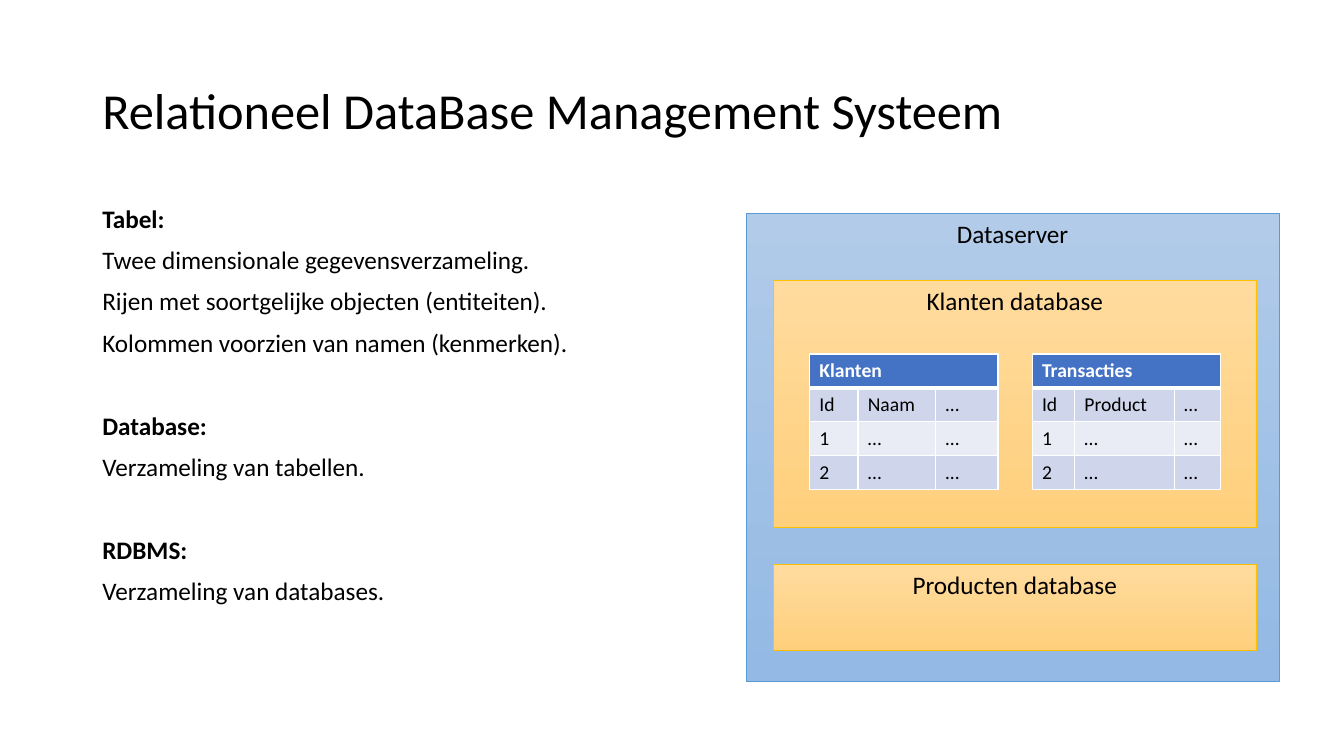
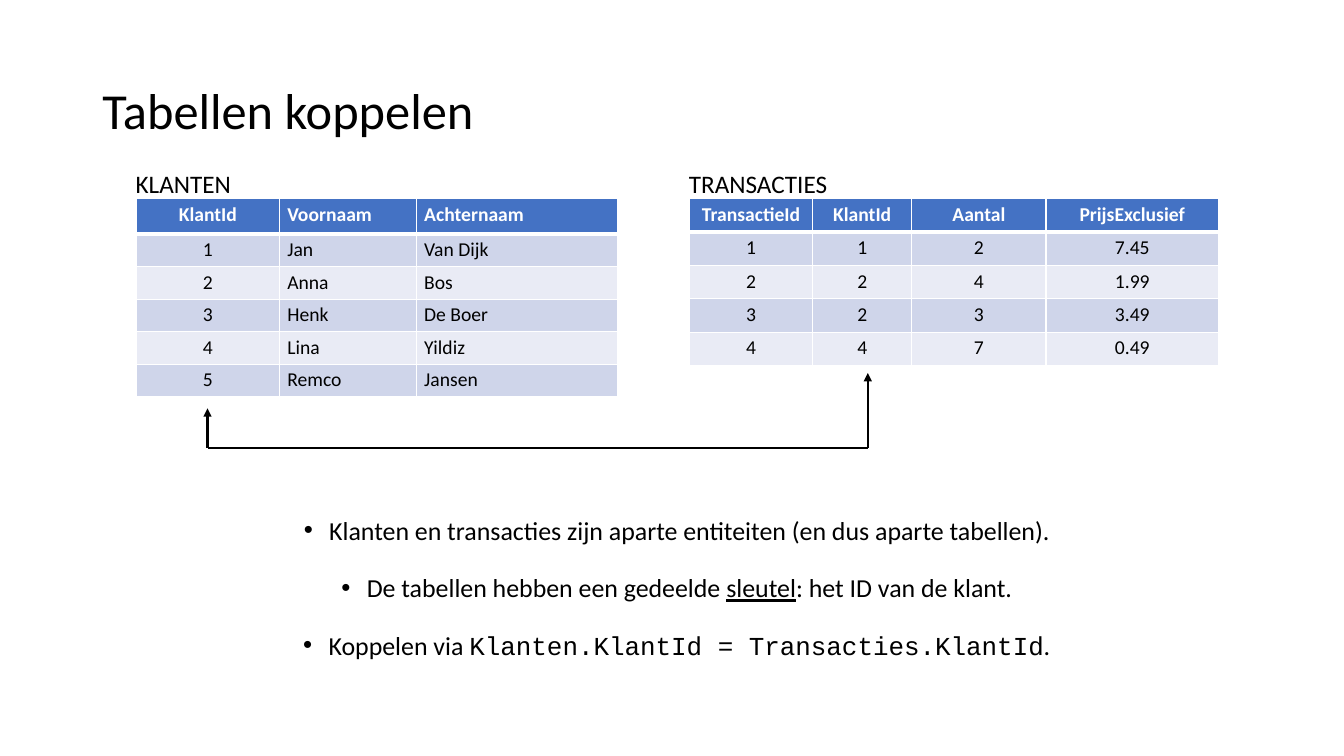
from lxml import etree
from pptx import Presentation
from pptx import util as u
from pptx.dml.color import RGBColor
from pptx.enum import shapes, text
from pptx.oxml import ns

BLACK = RGBColor(0x00, 0x00, 0x00)
WHITE = RGBColor(0xFF, 0xFF, 0xFF)
HEADER_BLUE = RGBColor(0x44, 0x72, 0xC4)
BAND_DARK = RGBColor(0xCF, 0xD5, 0xEA)
BAND_LIGHT = RGBColor(0xE9, 0xEB, 0xF5)
BLUE_BOX = (RGBColor(0xB1, 0xCB, 0xE9), RGBColor(0x93, 0xB9, 0xE4), RGBColor(0x5B, 0x9B, 0xD5))
GOLD_BOX = (RGBColor(0xFF, 0xDB, 0x9E), RGBColor(0xFF, 0xD0, 0x7C), RGBColor(0xFF, 0xC0, 0x00))

BODY_FONT = "Calibri"
CODE_FONT = "Courier New"
LEFT, CENTER = text.PP_ALIGN.LEFT, text.PP_ALIGN.CENTER
BODY_SIZE = 18
BULLET_SIZE = 18.5
PARAGRAPH_GAP = 10
SECTION_GAP = 40

TITLES = ["Relationeel DataBase Management Systeem", "Tabellen koppelen"]

DEFINITIONS = [
    ("Tabel:", ["Twee dimensionale gegevensverzameling.",
                "Rijen met soortgelijke objecten (entiteiten).",
                "Kolommen voorzien van namen (kenmerken)."]),
    ("Database:", ["Verzameling van tabellen."]),
    ("RDBMS:", ["Verzameling van databases."]),
]

BOXES = [
    ("Dataserver", (18.8, 5.38, 13.44, 11.79), BLUE_BOX),
    ("Klanten database", (19.48, 7.06, 12.19, 6.22), GOLD_BOX),
    ("Producten database", (19.48, 14.22, 12.19, 2.16), GOLD_BOX),
]

SKETCH_TABLES = [
    dict(rows=[["Klanten", "", ""], ["Id", "Naam", "…"], ["1", "…", "…"], ["2", "…", "…"]],
         left=20.4, widths=[1.22, 1.96, 1.57]),
    dict(rows=[["Transacties", "", ""], ["Id", "Product", "…"], ["1", "…", "…"], ["2", "…", "…"]],
         left=26.01, widths=[1.07, 2.51, 1.17]),
]
SKETCH_LAYOUT = dict(top=8.92, heights=(0.85, 0.85), margins=(0.25, 0.13),
                     centered=(), merge_header=True)

LINKED_TABLES = [
    ("KLANTEN", dict(
        rows=[["KlantId", "Voornaam", "Achternaam"], ["1", "Jan", "Van Dijk"],
              ["2", "Anna", "Bos"], ["3", "Henk", "De Boer"],
              ["4", "Lina", "Yildiz"], ["5", "Remco", "Jansen"]],
        left=3.44, widths=[3.6, 3.45, 5.08], heights=(0.89, 0.82), centered=(0,))),
    ("TRANSACTIES", dict(
        rows=[["TransactieId", "KlantId", "Aantal", "PrijsExclusief"], ["1", "1", "2", "7.45"],
              ["2", "2", "4", "1.99"], ["3", "2", "3", "3.49"], ["4", "4", "7", "0.49"]],
        left=17.38, widths=[3.1, 2.5, 3.38, 4.35], heights=(0.84, 0.84),
        centered=(0, 1, 2, 3))),
]
LINKED_LAYOUT = dict(top=5.01, margins=(0.2, 0.1))

KEY_LINES = [
    ((5.23, 11.28), (21.87, 11.28), False),
    ((21.87, 11.28), (21.87, 9.4), True),
    ((5.23, 11.28), (5.23, 10.29), True),
]

BULLETS = [
    [("Klanten en transacties zijn aparte entiteiten (en dus aparte tabellen).", {})],
    [("De tabellen hebben een gedeelde ", {}), ("sleutel", {"underline": True}),
     (": het ID van de klant.", {})],
    [("Koppelen via ", {}), ("Klanten.KlantId = Transacties.KlantId", {"name": CODE_FONT}),
     (".", {})],
]


def set_attributes(target, values):
    for name, value in values.items():
        setattr(target, name, value)


def add_run(paragraph, content, size, color=BLACK, **extra):
    run = paragraph.add_run()
    run.text = content
    set_attributes(run.font, {"name": BODY_FONT, "size": u.Pt(size), **extra})
    run.font.color.rgb = color


def add_frame(slide, left, top, width, height, wrap=True):
    box = slide.shapes.add_textbox(*map(u.Cm, (left, top, width, height)))
    box.text_frame.word_wrap = wrap
    return box.text_frame


def next_paragraph(frame, index):
    return frame.add_paragraph() if index else frame.paragraphs[0]


def add_titled_slide(presentation, title):
    slide = presentation.slides.add_slide(presentation.slide_layouts[6])
    frame = add_frame(slide, 2.33, 1.01, 29.21, 3.68)
    frame.vertical_anchor = text.MSO_ANCHOR.MIDDLE
    frame.paragraphs[0].line_spacing = 0.9
    add_run(frame.paragraphs[0], title, 36)
    return slide


def add_definitions(slide):
    frame = add_frame(slide, 2.33, 5.08, 14.6, 12.09)
    lines = [(line, position == 0) for term, facts in DEFINITIONS
             for position, line in enumerate([term, *facts])]
    for index, (line, is_term) in enumerate(lines):
        paragraph = next_paragraph(frame, index)
        paragraph.line_spacing = 0.9
        if index:
            paragraph.space_before = u.Pt(SECTION_GAP if is_term else PARAGRAPH_GAP)
        add_run(paragraph, line, BODY_SIZE, bold=is_term)


def add_box(slide, label, place, colors):
    shape = slide.shapes.add_shape(shapes.MSO_SHAPE.RECTANGLE, *map(u.Cm, place))
    shape.shadow.inherit = False
    shape.fill.gradient()
    shape.fill.gradient_angle = 270
    for stop, color in zip(shape.fill.gradient_stops, colors):
        stop.color.rgb = color
    shape.line.color.rgb = colors[2]
    shape.line.width = u.Pt(0.5)
    shape.text_frame.vertical_anchor = text.MSO_ANCHOR.TOP
    paragraph = shape.text_frame.paragraphs[0]
    paragraph.alignment = CENTER
    add_run(paragraph, label, BODY_SIZE)


def add_borders(cell, row_index):
    properties = cell._tc.get_or_add_tcPr()
    widths = {"lnL": 1, "lnR": 1, "lnT": 3 if row_index == 1 else 1,
              "lnB": 3 if row_index == 0 else 1}
    for tag, width in widths.items():
        line = etree.SubElement(properties, ns.qn(f"a:{tag}"), w=str(u.Pt(width)))
        fill = etree.SubElement(line, ns.qn("a:solidFill"))
        etree.SubElement(fill, ns.qn("a:srgbClr"), val=str(WHITE))


def add_data_table(slide, rows, left, top, widths, heights, margins, centered, merge_header=False):
    row_heights = [heights[0]] + [heights[1]] * (len(rows) - 1)
    place = map(u.Cm, (left, top, sum(widths), sum(row_heights)))
    table = slide.shapes.add_table(len(rows), len(widths), *place).table
    table.first_row = table.horz_banding = False
    for column, width in zip(table.columns, widths):
        column.width = u.Cm(width)
    side, edge = map(u.Cm, margins)
    for row_index, values in enumerate(rows):
        table.rows[row_index].height = u.Cm(row_heights[row_index])
        is_header = row_index == 0
        band = BAND_DARK if row_index % 2 else BAND_LIGHT
        for column_index, value in enumerate(values):
            cell = table.cell(row_index, column_index)
            set_attributes(cell, {"margin_left": side, "margin_right": side,
                                  "margin_top": edge, "margin_bottom": edge})
            add_borders(cell, row_index)
            cell.fill.solid()
            cell.fill.fore_color.rgb = HEADER_BLUE if is_header else band
            if value:
                paragraph = cell.text_frame.paragraphs[0]
                paragraph.alignment = CENTER if column_index in centered else LEFT
                add_run(paragraph, value, 14, WHITE if is_header else BLACK, bold=is_header)
    if merge_header:
        table.cell(0, 0).merge(table.cell(0, len(widths) - 1))


def add_key_line(slide, start, end, has_arrow):
    connector = slide.shapes.add_connector(shapes.MSO_CONNECTOR.STRAIGHT,
                                           *map(u.Cm, (*start, *end)))
    connector.line.color.rgb = BLACK
    connector.line.width = u.Pt(1.5)
    if has_arrow:
        etree.SubElement(connector.line._get_or_add_ln(), ns.qn("a:tailEnd"), type="triangle")
    etree.SubElement(connector._element.spPr, ns.qn("a:effectLst"))


def add_bullets(slide):
    frame = add_frame(slide, 3.43, 12.52, 27.25, 4.55)
    for index, runs in enumerate(BULLETS):
        paragraph = next_paragraph(frame, index)
        properties = paragraph._p.get_or_add_pPr()
        indent = u.Cm(0.64)
        properties.set("marL", str(indent))
        properties.set("indent", str(-indent))
        etree.SubElement(properties, ns.qn("a:buFont"), typeface="Arial")
        etree.SubElement(properties, ns.qn("a:buChar"), char="•")
        set_attributes(paragraph, {"alignment": CENTER, "line_spacing": 1.4})
        if index:
            paragraph.space_before = u.Pt(PARAGRAPH_GAP)
        for content, extra in runs:
            add_run(paragraph, content, BULLET_SIZE, **extra)


def main():
    presentation = Presentation()
    presentation.slide_width = u.Cm(33.87)
    presentation.slide_height = u.Cm(19.05)
    system_slide, link_slide = [add_titled_slide(presentation, title) for title in TITLES]

    add_definitions(system_slide)
    for box in BOXES:
        add_box(system_slide, *box)
    for table in SKETCH_TABLES:
        add_data_table(system_slide, **table, **SKETCH_LAYOUT)

    for label, table in LINKED_TABLES:
        add_data_table(link_slide, **table, **LINKED_LAYOUT)
        frame = add_frame(link_slide, table["left"] - 0.27, 4.11, 4.04, 1.02, wrap=False)
        add_run(frame.paragraphs[0], label, BODY_SIZE)
    for line in KEY_LINES:
        add_key_line(link_slide, *line)
    add_bullets(link_slide)
    presentation.save("out.pptx")


if __name__ == "__main__":
    main()
